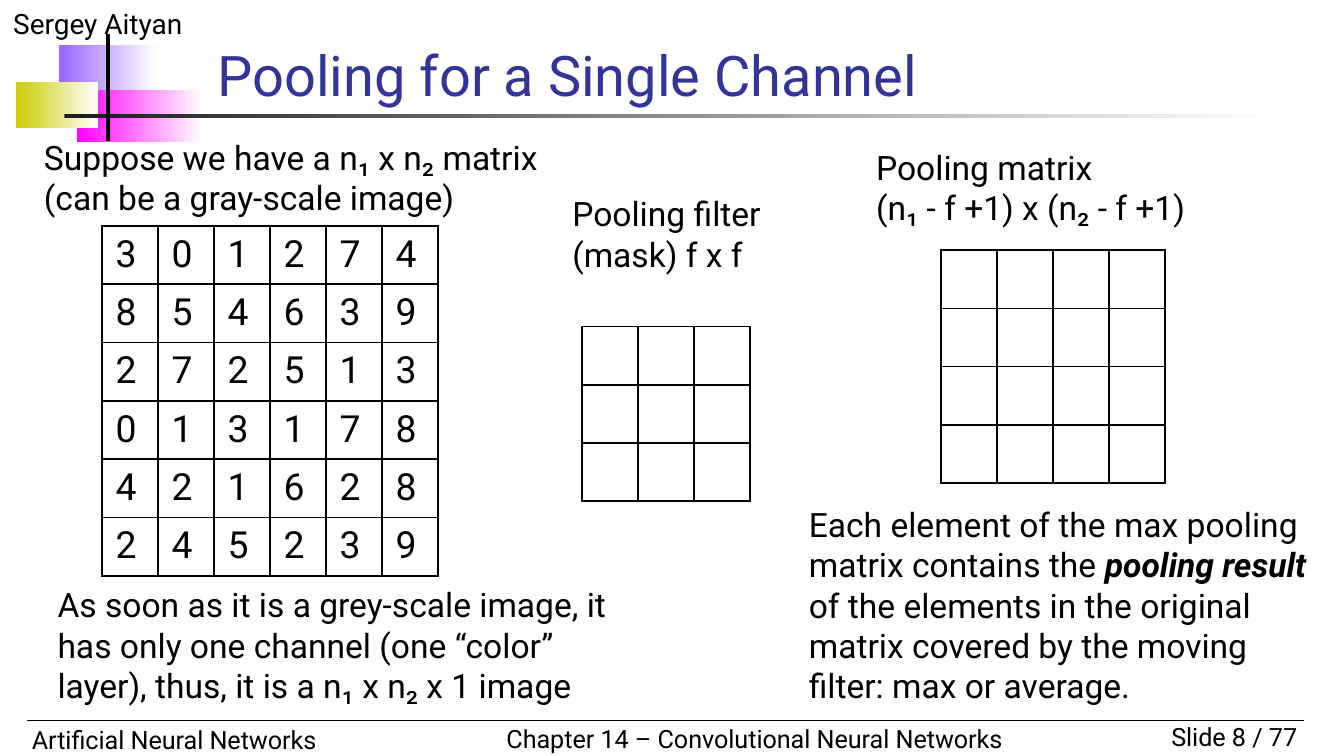
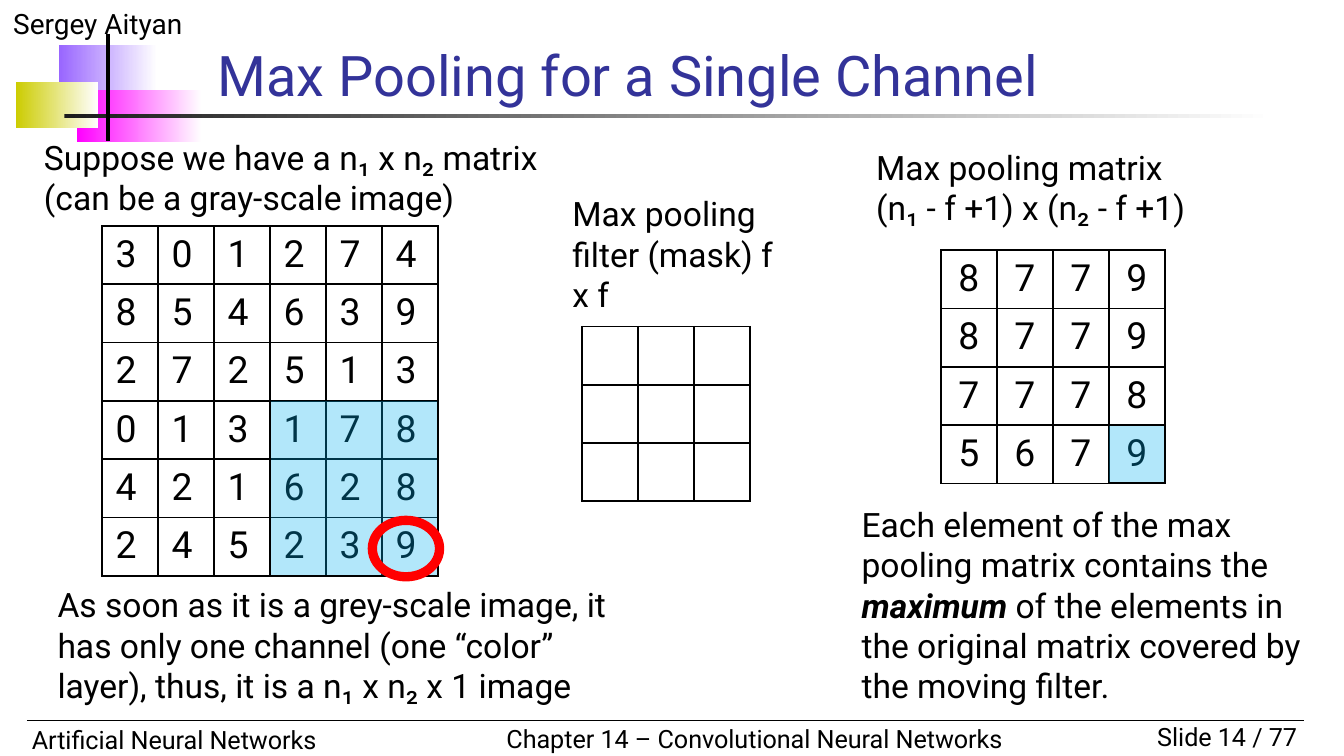
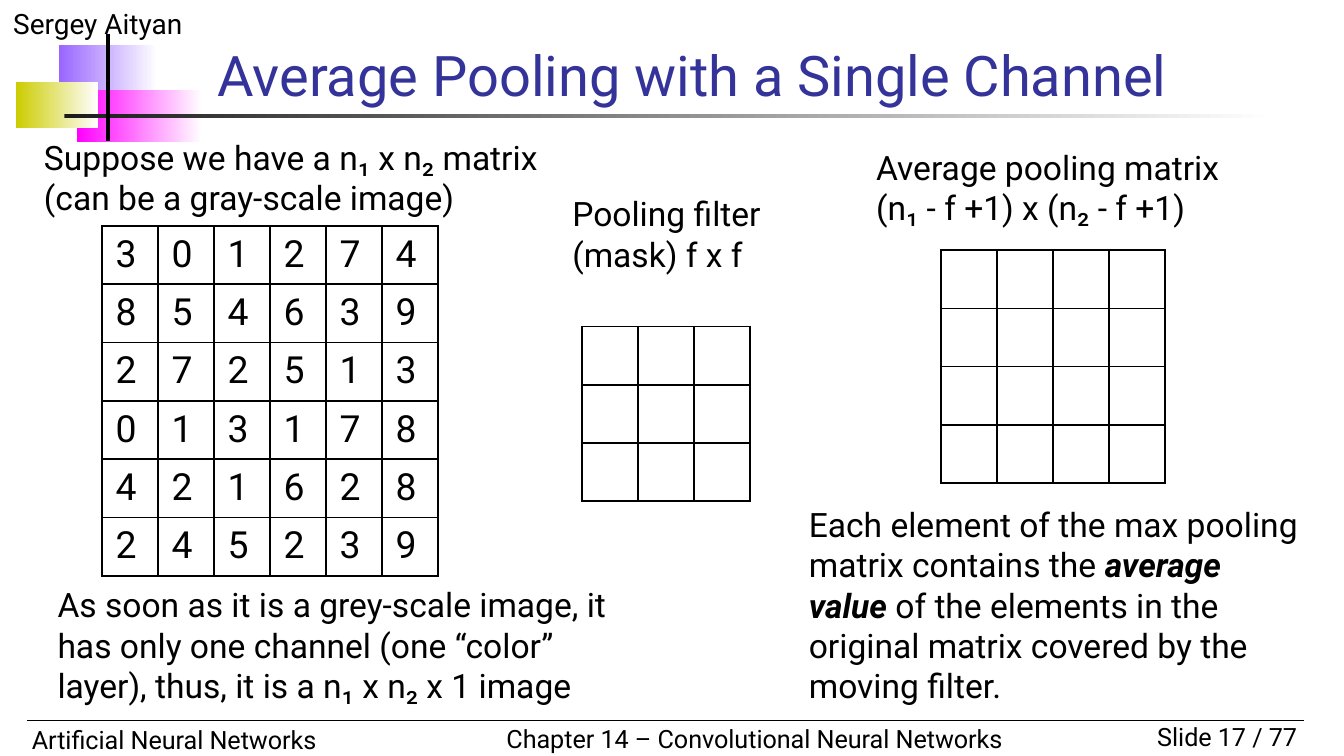
import pptx
import pptx.dml.color
import pptx.enum.shapes
import pptx.enum.text
import pptx.oxml
import pptx.oxml.ns
import pptx.util
from lxml import etree

Pt = pptx.util.Pt
qn = pptx.oxml.ns.qn
MSO_SHAPE = pptx.enum.shapes.MSO_SHAPE
PP_ALIGN = pptx.enum.text.PP_ALIGN

FONT = "Roboto"
BLACK, WHITE, TITLE = "000000", "FFFFFF", "333399"
HIGHLIGHT, RING = "00B0F0", "FF0000"
CELL_W, CELL_H = 30, 31.2

IMAGE = ["301274", "854639", "272513", "013178", "421628", "245239"]
EMPTY_MASK = [" " * 3] * 3
EMPTY_POOL = [" " * 4] * 4
MAX_POOL = ["8779", "8779", "7778", "5679"]


def rgb(color):
    return pptx.dml.color.RGBColor.from_string(color)


def style_run(r, size, color=BLACK, strong=False):
    r.font.name = FONT
    r.font.size = Pt(size)
    r.font.color.rgb = rgb(color)
    r.font.bold = r.font.italic = strong


def add_text(slide, box, text, size=18, color=BLACK, align=PP_ALIGN.LEFT,
             wrap=True, emphasis="", rest=""):
    """Text box with one paragraph; emphasis is set in bold italic."""
    tf = slide.shapes.add_textbox(*map(Pt, box)).text_frame
    tf.word_wrap = wrap
    tf.auto_size = pptx.enum.text.MSO_AUTO_SIZE.SHAPE_TO_FIT_TEXT
    p = tf.paragraphs[0]
    p.text = text
    p.alignment = align
    for r in p.runs:
        style_run(r, size, color)
    for part in filter(None, (emphasis, rest)):
        r = p.add_run()
        r.text = part
        style_run(r, size, color, strong=part == emphasis)
    return tf


def add_shape(slide, kind, box, line=None, width=0.75):
    sp = slide.shapes.add_shape(kind, *map(Pt, box))
    sp.shadow.inherit = False
    sp.fill.background()
    if line:
        sp.line.color.rgb = rgb(line)
        sp.line.width = Pt(width)
    else:
        sp.line.fill.background()
    return sp


def add_fade(slide, box, color):
    """Borderless bar fading from color to white, left to right."""
    fill = add_shape(slide, MSO_SHAPE.RECTANGLE, box).fill
    fill.gradient()
    fill.gradient_angle = 0
    for stop, shade in zip(fill.gradient_stops, (color, WHITE)):
        stop.color.rgb = rgb(shade)


def add_highlight(slide, box):
    """Outlined rectangle with a 30% opaque fill."""
    sp = add_shape(slide, MSO_SHAPE.RECTANGLE, box, BLACK)
    sp.fill.solid()
    sp.fill.fore_color.rgb = rgb(HIGHLIGHT)
    tint = sp._element.spPr.find(qn("a:solidFill")).find(qn("a:srgbClr"))
    etree.SubElement(tint, qn("a:alpha"), val="30000")


def add_line(slide, x1, y1, x2, y2, width):
    line = slide.shapes.add_connector(
        pptx.enum.shapes.MSO_CONNECTOR.STRAIGHT, *map(Pt, (x1, y1, x2, y2)))
    line.line.color.rgb = rgb(BLACK)
    line.line.width = Pt(width)
    etree.SubElement(line._element.spPr, qn("a:effectLst"))


def cell_box(left, top, row, col, span=1):
    """Box of a square block of cells in a grid placed at left, top."""
    return (left + col * CELL_W, top + row * CELL_H, span * CELL_W, span * CELL_H)


def add_borders(cell):
    tc_pr = cell._tc.get_or_add_tcPr()
    for side in ("a:lnL", "a:lnR", "a:lnT", "a:lnB"):
        ln = etree.SubElement(tc_pr, qn(side), w=str(Pt(1)))
        fill = etree.SubElement(ln, qn("a:solidFill"))
        etree.SubElement(fill, qn("a:srgbClr"), val=BLACK)


def add_grid(slide, left, top, rows, centred=False):
    """Square table; each character of a row fills one cell."""
    n = len(rows)
    table = slide.shapes.add_table(n, n, *map(Pt, cell_box(left, top, 0, 0, n))).table
    table.first_row = table.horz_banding = False
    for i in range(n):
        table.columns[i].width = Pt(CELL_W)
        table.rows[i].height = Pt(CELL_H)
    for cell, value in zip(table.iter_cells(), "".join(rows)):
        add_borders(cell)
        cell.fill.background()
        if centred:
            cell.margin_left = cell.margin_right = 0
        if value.strip():
            p = cell.text_frame.paragraphs[0]
            p.text = value
            p.alignment = PP_ALIGN.CENTER if centred else PP_ALIGN.LEFT
            style_run(p.runs[0], 20)


def add_frame(slide, title, number):
    """Header ornament, title and footer."""
    add_fade(slide, (31.75, 24, 52.5, 28), "9966FF")
    add_fade(slide, (41.25, 48, 67, 28), "FF00FF")
    add_fade(slide, (8.5, 43.75, 44, 25), "CCCC00")
    add_fade(slide, (34.5, 61, 648, 2), "1C1C1C")
    add_text(slide, (0, 0, 180, 25), "Sergey Aityan", 15)
    # Footer
    add_text(slide, (594, 383, 108, 23.5), f"Slide {number} / 77", 13.5,
             align=PP_ALIGN.RIGHT)
    add_text(slide, (10, 384.25, 266, 23.5), "Artificial Neural Networks", 13.5)
    add_text(slide, (264.25, 383.75, 281.5, 23.5),
             "Chapter 14 – Convolutional Neural Networks", 13.5, wrap=False)
    add_line(slide, 14.4, 386, 698.4, 386, 0.75)
    add_line(slide, 57.75, 18, 57.75, 75.5, 2)
    # Title
    tf = add_text(slide, (109.5, 22.25, 529, 39), title, 30, TITLE)
    tf.auto_size = pptx.enum.text.MSO_AUTO_SIZE.NONE
    tf.vertical_anchor = pptx.enum.text.MSO_ANCHOR.BOTTOM


def add_image_panel(slide, left, top):
    """Input matrix with the texts above and below it."""
    add_text(slide, (left - 38.25, top - 51.25, 299, 51),
             "Suppose we have a n₁ x n₂ matrix (can be a gray-scale image)")
    add_grid(slide, left, top, IMAGE)
    add_text(slide, (left - 31, top + 188.5, 318.5, 73),
             "As soon as it is a grey-scale image, it has only one channel "
             "(one “color” layer), thus, it is a n₁ x n₂ x 1 image")


def add_filter_panel(slide, left, top, caption):
    """Empty mask under its caption."""
    add_text(slide, (left - 12.25, top - 75, 121.75, 51), caption)
    add_grid(slide, left, top, EMPTY_MASK)


def add_pool_panel(slide, left, top, caption, values, note, note_left):
    """Result matrix with its caption and explanation."""
    add_text(slide, (left - 41.75, top - 59, 245, 51), caption + "\v(n₁ - f +1) x (n₂ - f +1)")
    add_grid(slide, left, top, values, centred=True)
    emphasis, rest = note
    add_text(slide, (note_left, top + 132.5, 707.5 - note_left, 116.5),
             "Each element of the max pooling matrix contains the ",
             emphasis=emphasis, rest=rest)


def add_window(slide, image, pool):
    """Marks the last filter position, its maximum and the result cell."""
    add_highlight(slide, cell_box(*image, 3, 3, span=3))
    add_highlight(slide, cell_box(*pool, 3, 3))
    x, y, _, _ = cell_box(*image, 5, 5)
    add_shape(slide, MSO_SHAPE.OVAL, (x - 5.25, y + 1.75, 36, 30.25), RING, 5)


def add_pooling_slide(prs, number, title, mask, caption, values, note,
                      note_left=426.25, window=False):
    slide = prs.slides.add_slide(prs.slide_layouts[6])
    image, pool = (54.75, 121), (504, 134)
    add_frame(slide, title, number)
    add_image_panel(slide, *image)
    add_filter_panel(slide, 311.75, 175, mask)
    add_pool_panel(slide, *pool, caption, values, note, note_left)
    if window:
        add_window(slide, image, pool)


def main():
    prs = pptx.Presentation()
    prs.slide_width, prs.slide_height = Pt(720), Pt(405)
    mask = "Pooling filter (mask) f x f"
    covered = "of the elements in the original matrix covered by the moving filter"
    add_pooling_slide(prs, 8, "Pooling for a Single Channel", mask,
                      "Pooling matrix", EMPTY_POOL,
                      ("pooling result ", covered + ": max or average."))
    add_pooling_slide(prs, 14, "Max Pooling for a Single Channel",
                      "Max pooling filter (mask) f x f",
                      "Max pooling matrix", MAX_POOL,
                      ("maximum", f" {covered}."), note_left=454.5, window=True)
    add_pooling_slide(prs, 17, "Average Pooling with a Single Channel", mask,
                      "Average pooling matrix", EMPTY_POOL,
                      ("average value", f" {covered}."))
    prs.save("out.pptx")


if __name__ == "__main__":
    main()
